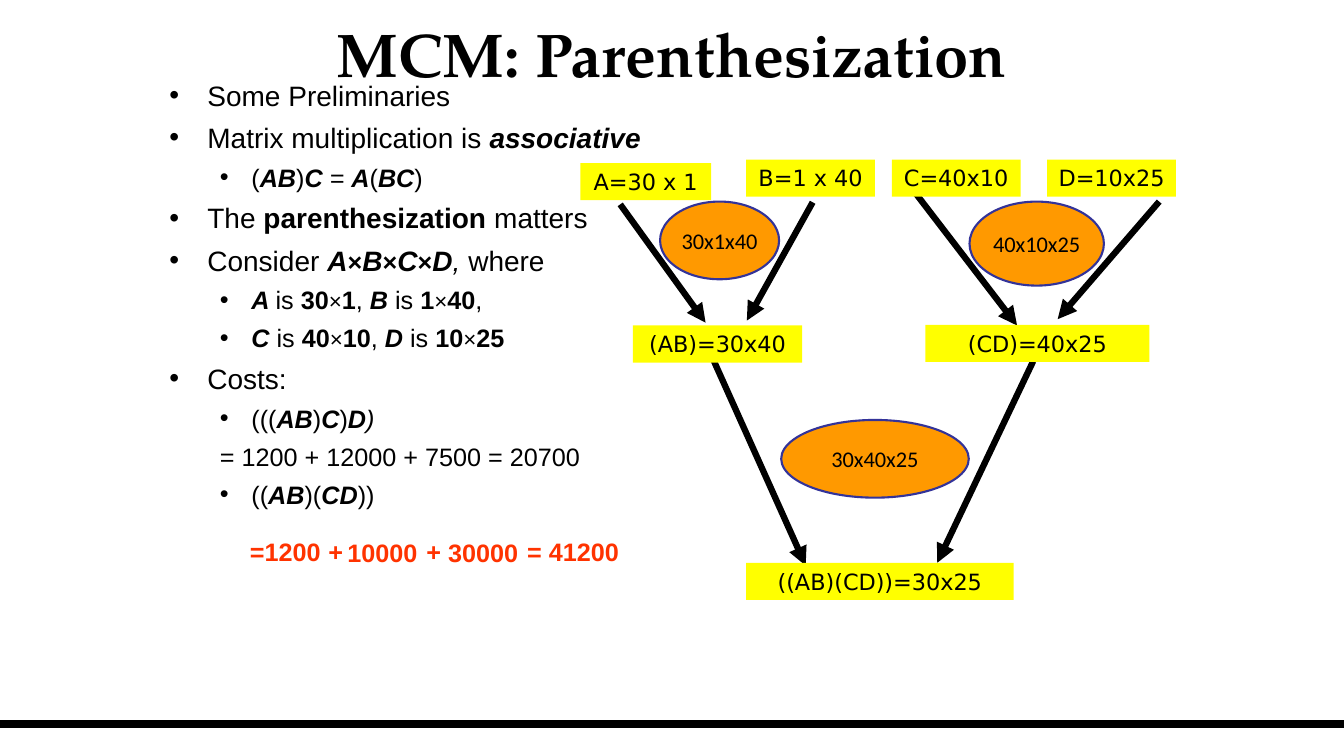
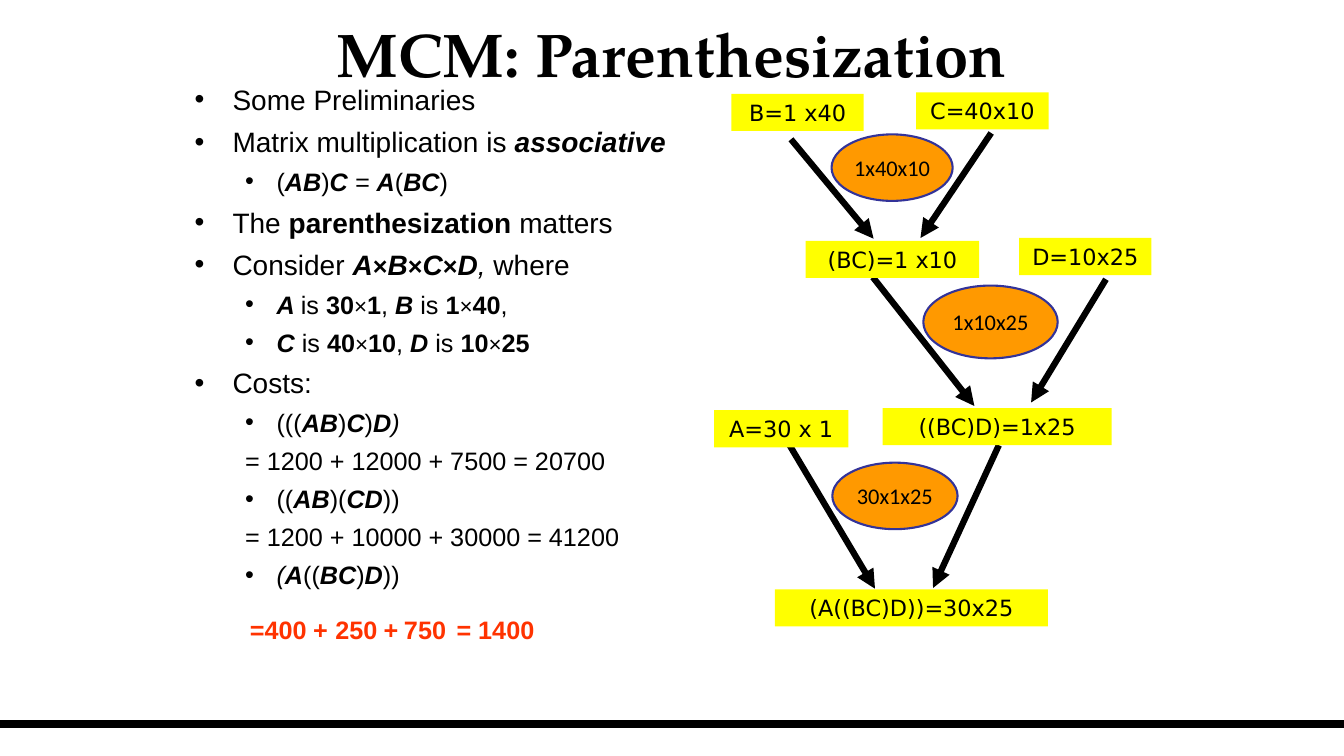
from dataclasses import dataclass
from itertools import groupby
from typing import Iterator

from lxml.etree import SubElement
from pptx import Presentation
from pptx.dml.color import RGBColor
from pptx.enum.shapes import MSO_CONNECTOR, MSO_SHAPE
from pptx.enum.text import MSO_ANCHOR, PP_ALIGN
from pptx.oxml.ns import qn
from pptx.util import Pt

# Shared look
COLOURS = {"ink": "000000", "label": "FFFF00", "cost": "FF9900", "cost_line": "333399", "answer": "FF3300"}
PAGE_WIDTH, PAGE_HEIGHT = 960, 540
LABEL_HEIGHT = 26.5
TITLE = "MCM: Parenthesization"
TITLE_FORMAT = {"name": "TeX Gyre Pagella", "size": Pt(44), "bold": True}
LABEL_FORMAT = {"name": "DejaVu Sans", "size": Pt(16)}
COST_FORMAT = {"name": "Calibri", "size": Pt(16)}
ANSWER_FORMAT = {"name": "Arial", "size": Pt(18), "bold": True}

# Markup: each sign switches (bold, italic) on or off
SWITCHES = {"*": (True, False), "_": (False, True), "^": (True, True)}


@dataclass(frozen=True)
class Level:
    size: float
    margin: float
    hanging: float


@dataclass(frozen=True)
class Line:
    markup: str
    level: int = 0
    bullet: bool = True


@dataclass(frozen=True)
class Place:
    left: float
    top: float
    width: float
    height: float


@dataclass(frozen=True)
class Caption:
    text: str
    place: Place


@dataclass(frozen=True)
class Arrow:
    start_x: float
    start_y: float
    end_x: float
    end_y: float


@dataclass(frozen=True)
class Example:
    body: Place
    lines: list[Line]
    arrows: list[Arrow]
    costs: list[Caption]
    labels: list[Caption]
    answer: list[Caption]


LEVELS = [Level(20, 27, 27), Level(18, 58.5, 22.5)]


def label(text: str, left: float, top: float, width: float) -> Caption:
    return Caption(text, Place(left, top, width, LABEL_HEIGHT))


def cost(text: str, left: float, top: float, width: float, height: float) -> Caption:
    return Caption(text, Place(left, top, width, height))


def term(text: str, left: float, top: float, width: float = 66) -> Caption:
    return Caption(text, Place(left, top, width, 29))


# Content
COMMON_LINES = [
    Line("Some Preliminaries"),
    Line("Matrix multiplication is ^associative^"),
    Line("(^AB^)^C* = *A^(^BC^)", 1),
    Line("The *parenthesization* matters"),
    Line("Consider ^A_×_B_×_C_×_D*, _where"),
    Line("^A ^is *30*×*1*, ^B ^is *1*×*40*,", 1),
    Line("^C ^is *40*×*10*, ^D ^is *10*×*25*", 1),
    Line("Costs:"),
    Line("(((^AB^)^C^)^D*)", 1),
    Line("= 1200 + 12000 + 7500 = 20700", 1, False),
    Line("((^AB^)(^CD^))", 1),
]

EXAMPLES = [
    Example(
        body=Place(114, 57, 354, 447),
        lines=COMMON_LINES,
        arrows=[
            Arrow(443, 146, 504, 230.5),
            Arrow(580.5, 144.5, 533.5, 229),
            Arrow(654, 138, 726.5, 232.5),
            Arrow(828, 144, 755.5, 228),
            Arrow(510, 258, 575.5, 404),
            Arrow(738, 258, 669.5, 402),
        ],
        costs=[
            cost("30x1x40", 471.5, 144, 85, 55.5),
            cost("40x10x25", 692.5, 144, 96, 60),
            cost("30x40x25", 558, 300, 134, 55.5),
        ],
        labels=[
            label("A=30 x 1", 414.5, 116.5, 93.5),
            label("B=1 x 40", 533, 114, 92),
            label("C=40x10", 637, 114, 92),
            label("D=10x25", 748, 114, 92),
            label("(AB)=30x40", 452, 232.5, 121),
            label("(CD)=40x25", 661, 232, 160),
            label("((AB)(CD))=30x25", 533, 402, 191),
        ],
        answer=[
            term("=1200", 171.5, 379.5),
            term("+", 227.5, 379.5, 24),
            term("10000", 241, 380.5),
            term("+", 297.5, 379.5, 24),
            term("30000", 313, 380.5),
            term("= 41200", 369.5, 379.5, 96),
        ],
    ),
    Example(
        body=Place(132, 60, 360, 447),
        lines=COMMON_LINES + [
            Line("= 1200 + 10000 + 30000 = 41200", 1, False),
            Line("_(*A^((^BC^)^D^))", 1),
        ],
        arrows=[
            Arrow(565, 99.5, 624, 170.5),
            Arrow(708, 95, 657.5, 170),
            Arrow(623.5, 198, 696, 290),
            Arrow(790, 199.5, 736.5, 287.5),
            Arrow(564, 318, 625, 420.5),
            Arrow(713.5, 318, 666.5, 420),
        ],
        costs=[
            cost("1x40x10", 594, 96, 86.5, 47.5),
            cost("1x10x25", 659.5, 204, 96, 52),
            cost("30x1x25", 594.5, 330.5, 89.5, 47.5),
        ],
        labels=[
            label("B=1 x40", 522.5, 67, 94.5),
            label("C=40x10", 654.5, 66, 94.5),
            label("(BC)=1 x10", 575.5, 172, 124),
            label("D=10x25", 728, 170, 94.5),
            label("A=30 x 1", 510, 293, 96),
            label("((BC)D)=1x25", 630.5, 291.5, 163.5),
            label("(A((BC)D))=30x25", 553.5, 421, 195),
        ],
        answer=[
            term("=400", 171.5, 435.5),
            term("+", 216.5, 435.5, 24),
            term("250", 232.5, 435.5),
            term("+", 267, 435.5, 24),
            term("750", 281.5, 435.5),
            term("= 1400", 319, 435.5, 96),
        ],
    ),
]


# Drawing helpers
def colour(name: str) -> RGBColor:
    return RGBColor.from_string(COLOURS[name])


def bounds(place: Place) -> list[Pt]:
    return [Pt(value) for value in (place.left, place.top, place.width, place.height)]


def add_span(para, text: str, formats: dict, ink: str = "ink") -> None:
    span = para.add_run()
    span.text = text
    for attribute, value in formats.items():
        setattr(span.font, attribute, value)
    span.font.color.rgb = colour(ink)


def fill_frame(frame, text: str, formats: dict, ink: str = "ink", align=PP_ALIGN.CENTER,
               anchor=MSO_ANCHOR.TOP, wrap: bool = True) -> None:
    frame.word_wrap = wrap
    frame.vertical_anchor = anchor
    para = frame.paragraphs[0]
    para.alignment = align
    add_span(para, text, formats, ink)


def add_line(page, line: Arrow, width: float, head: bool = False) -> None:
    ends = [Pt(value) for value in (line.start_x, line.start_y, line.end_x, line.end_y)]
    connector = page.shapes.add_connector(MSO_CONNECTOR.STRAIGHT, *ends)
    connector.line.width = Pt(width)
    connector.line.color.rgb = colour("ink")
    if head:
        SubElement(connector.line._get_or_add_ln(), qn("a:tailEnd"), type="triangle")
    SubElement(connector._element.spPr, qn("a:effectLst"))


def add_filled(page, preset: MSO_SHAPE, place: Place, fill: str):
    shape = page.shapes.add_shape(preset, *bounds(place))
    shape.shadow.inherit = False
    shape.fill.solid()
    shape.fill.fore_color.rgb = colour(fill)
    return shape


def add_label(page, caption: Caption) -> None:
    box = add_filled(page, MSO_SHAPE.RECTANGLE, caption.place, "label")
    box.line.fill.background()
    fill_frame(box.text_frame, caption.text, LABEL_FORMAT)


def add_cost(page, caption: Caption) -> None:
    oval = add_filled(page, MSO_SHAPE.OVAL, caption.place, "cost")
    oval.line.color.rgb = colour("cost_line")
    oval.line.width = Pt(1.5)
    fill_frame(oval.text_frame, caption.text, COST_FORMAT, anchor=MSO_ANCHOR.MIDDLE, wrap=False)


def add_term(page, caption: Caption) -> None:
    box = page.shapes.add_textbox(*bounds(caption.place))
    fill_frame(box.text_frame, caption.text, ANSWER_FORMAT, "answer", PP_ALIGN.LEFT)


def styled_spans(markup: str) -> Iterator[tuple[str, bool, bool]]:
    bold = italic = False
    letters = []
    for letter in markup:
        if letter in SWITCHES:
            bold ^= SWITCHES[letter][0]
            italic ^= SWITCHES[letter][1]
        else:
            letters.append((letter, bold, italic, letter == "×"))
    for style, group in groupby(letters, key=lambda item: item[1:]):
        yield "".join(item[0] for item in group), style[0], style[1]


def add_outline(page, place: Place, lines: list[Line]) -> None:
    frame = page.shapes.add_textbox(*bounds(place)).text_frame
    frame.word_wrap = True
    for index, line in enumerate(lines):
        level = LEVELS[line.level]
        para = frame.add_paragraph() if index else frame.paragraphs[0]
        para.level = line.level
        para.line_spacing = 0.8
        para.space_before = Pt(0.55 * level.size if index else 0)
        properties = para._p.get_or_add_pPr()
        properties.set("marL", str(Pt(level.margin)))
        properties.set("indent", str(Pt(-level.hanging)))
        if line.bullet:
            SubElement(properties, qn("a:buFont"), typeface="Arial")
            SubElement(properties, qn("a:buChar"), char="•")
        for text, bold, italic in styled_spans(line.markup):
            # Multiplication signs are set slightly smaller
            size = level.size - 2 if text == "×" else level.size
            add_span(para, text, {"name": "Arial", "size": Pt(size), "bold": bold, "italic": italic})


def add_example(deck, example: Example) -> None:
    page = deck.slides.add_slide(deck.slide_layouts[6])
    # Footer rule and title
    add_line(page, Arrow(0, 517, PAGE_WIDTH, 517), 6)
    title = page.shapes.add_textbox(*bounds(Place(5, 5, 950, 66)))
    fill_frame(title.text_frame, TITLE, TITLE_FORMAT, anchor=MSO_ANCHOR.MIDDLE)
    # Outline, product tree and answer
    add_outline(page, example.body, example.lines)
    for arrow in example.arrows:
        add_line(page, arrow, 4.5, head=True)
    for draw, captions in ((add_cost, example.costs), (add_label, example.labels), (add_term, example.answer)):
        for caption in captions:
            draw(page, caption)


def main() -> None:
    deck = Presentation()
    deck.slide_width, deck.slide_height = Pt(PAGE_WIDTH), Pt(PAGE_HEIGHT)
    for example in EXAMPLES:
        add_example(deck, example)
    deck.save("out.pptx")


if __name__ == "__main__":
    main()
